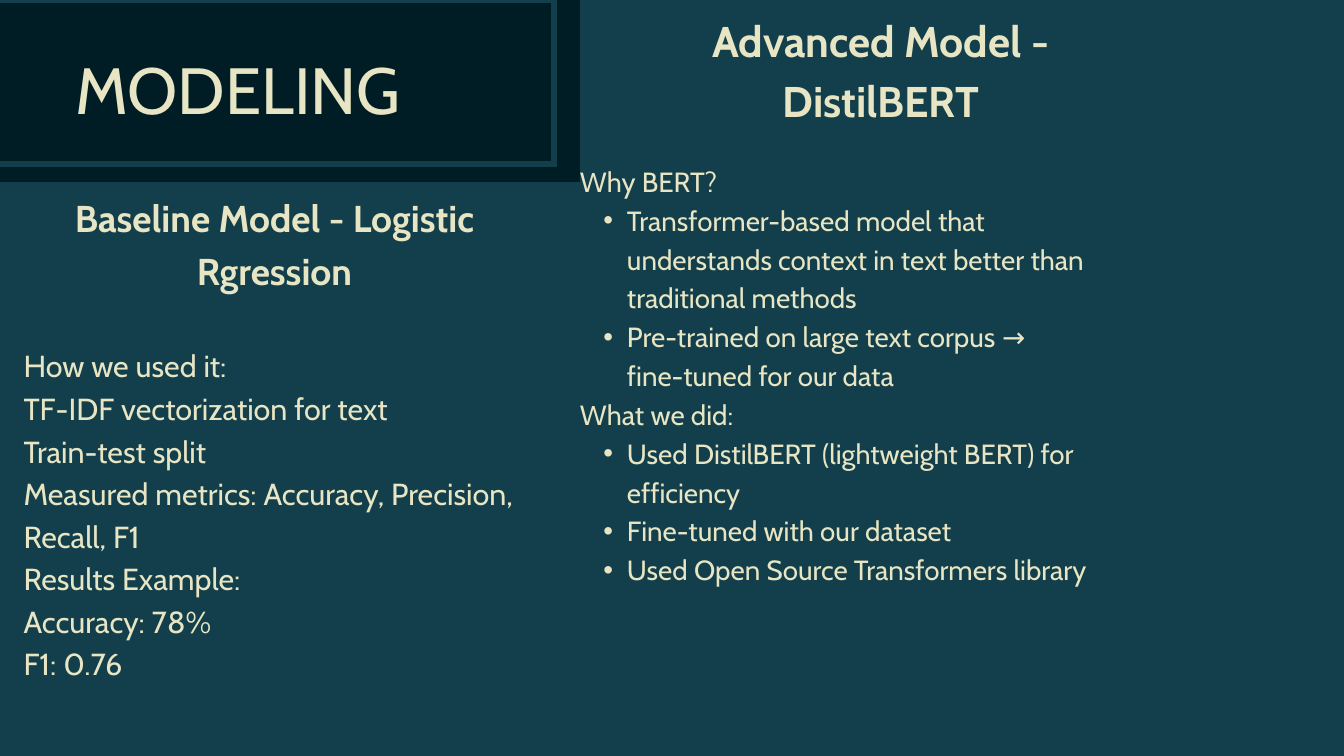
from lxml import etree
from pptx import Presentation
from pptx import util as u
from pptx.dml.color import RGBColor
from pptx.enum import shapes, text
from pptx.oxml.ns import qn

FONT = "Cabin"
TEAL, DARK, CREAM = "123F4B", "001D25", "E7E5C3"
LEFT, MID = text.PP_ALIGN.LEFT, text.PP_ALIGN.CENTER
SPLIT = 21.92  # edge between the left and right halves, in cm

# Each line is a pair: wording, bulleted or not
BERT = [
    ("Why BERT?", False),
    ("Transformer-based model that understands context in text better "
     "than traditional methods", True),
    ("Pre-trained on large text corpus → fine-tuned for our data", True),
    ("What we did:", False),
    ("Used DistilBERT (lightweight BERT) for efficiency", True),
    ("Fine-tuned with our dataset", True),
    ("Used Open Source Transformers library", True),
]
BASE = [(line, False) for line in (
    "How we used it:",
    "TF-IDF vectorization for text",
    "Train-test split",
    "Measured metrics: Accuracy, Precision, Recall, F1",
    "Results Example:",
    "Accuracy: 78%",
    "F1: 0.76",
)]


def color(code):
    return RGBColor.from_string(code)


def apply(item, values):
    for name, value in values.items():
        setattr(item, name, value)


def place(box):
    names = ("left", "top", "width", "height")
    return dict(zip(names, map(u.Cm, box)))


def add_panel(slide, box, fill=None, line=None, width=6):
    panel = slide.shapes.add_shape(
        shapes.MSO_SHAPE.RECTANGLE, **place(box))
    panel.shadow.inherit = False
    if fill:
        panel.fill.solid()
        panel.fill.fore_color.rgb = color(fill)
    else:
        panel.fill.background()
    if line:
        panel.line.color.rgb = color(line)
        panel.line.width = u.Pt(width)
        etree.SubElement(panel.line._get_or_add_ln(), qn("a:miter"), lim="800000")
    else:
        panel.line.fill.background()


def set_bullet(para):
    props = para._p.get_or_add_pPr()
    props.set("marL", str(u.Cm(1.78)))
    props.set("indent", str(u.Cm(-0.89)))
    etree.SubElement(props, qn("a:buFont"), typeface="Arial")
    etree.SubElement(props, qn("a:buChar"), char="•")


def fill_text(shape, lines, size, pitch, align=LEFT, bold=False):
    frame = shape.text_frame
    apply(frame, {
        "margin_left": 0, "margin_top": 0,
        "margin_right": 0, "margin_bottom": 0,
        "word_wrap": True, "auto_size": text.MSO_AUTO_SIZE.NONE,
        "vertical_anchor": text.MSO_ANCHOR.TOP,
    })
    for i, (words, bullet) in enumerate(lines):
        para = frame.add_paragraph() if i else frame.paragraphs[0]
        apply(para, {"alignment": align, "line_spacing": u.Pt(pitch),
                     "space_before": u.Pt(0)})
        if bullet:
            set_bullet(para)
        run = para.add_run()
        run.text = words
        apply(run.font, {"name": FONT, "size": u.Pt(size), "bold": bold})
        run.font.color.rgb = color(CREAM)


def add_text(slide, box, lines, size, pitch, **style):
    shape = slide.shapes.add_textbox(**place(box))
    fill_text(shape, lines, size, pitch, **style)


def add_title(slide, box, words, size, pitch):
    title = slide.shapes.title
    apply(title, place(box))
    fill_text(title, [(words, False)], size, pitch)
    # Bring the title in front of the panels
    slide.shapes._spTree.append(title._element)


def main():
    deck = Presentation()
    apply(deck, {"slide_width": u.Cm(50.8), "slide_height": u.Cm(28.58)})
    slide = deck.slides.add_slide(deck.slide_layouts[5])
    slide.background.fill.solid()
    slide.background.fill.fore_color.rgb = color(TEAL)

    # Title panel with its inner frame
    add_panel(slide, (0, 0, SPLIT, 6.88), fill=DARK)
    add_panel(slide, (-0.97, 0, SPLIT, 6.2), line=TEAL)
    add_title(slide, (2.84, 2.24, 14.3, 2.67), "MODELING", 70, 73.5)

    # Headings of the two models
    head = {"align": MID, "bold": True}
    add_text(slide, (0.56, 7.11, 19.63, 3.86),
             [("Baseline Model - Logistic Rgression", False)], 40, 56, **head)
    add_text(slide, (26.42, 0.23, 13.74, 4.42),
             [("Advanced Model - DistilBERT", False)], 46, 64.4, **head)

    # Details of the two models
    add_text(slide, (SPLIT, 6.02, 19.18, 18.87), BERT, 29.7, 41.6)
    add_text(slide, (0.89, 12.91, 19, 12.62), BASE, 32.6, 45.6)

    deck.save("out.pptx")


if __name__ == "__main__":
    main()
